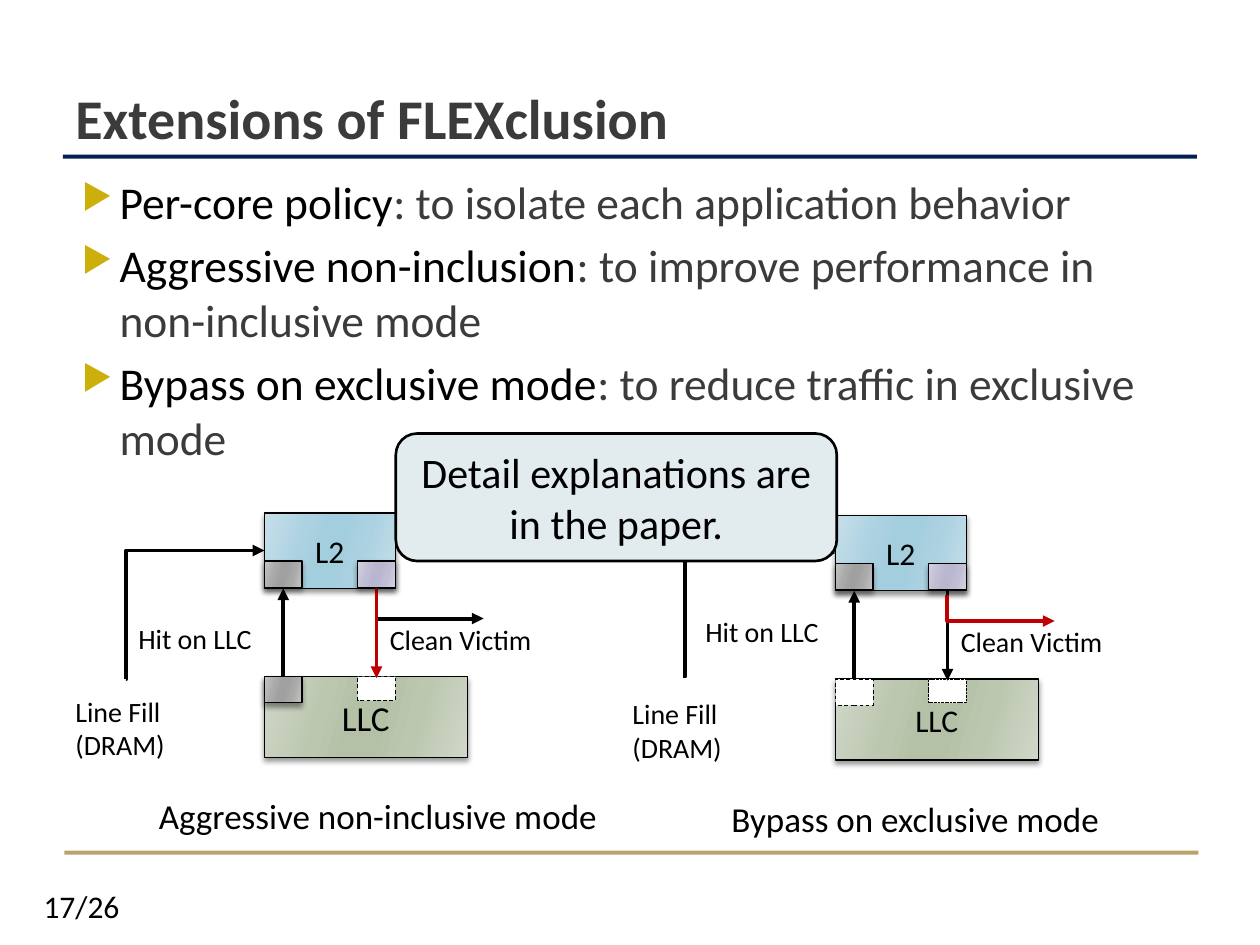
"""Build the slide on extensions of FLEXclusion with two cache diagrams."""
from lxml.etree import SubElement
from pptx import Presentation
from pptx.dml.color import RGBColor
from pptx.enum.dml import MSO_LINE
from pptx.enum.shapes import MSO_CONNECTOR, MSO_SHAPE
from pptx.enum.text import MSO_ANCHOR, PP_ALIGN
from pptx.oxml.ns import qn
from pptx.util import Cm, Pt

BLACK = RGBColor(0x00, 0x00, 0x00)
WHITE = RGBColor(0xFF, 0xFF, 0xFF)
GRAY = RGBColor(0x3B, 0x3B, 0x3B)
NAVY = RGBColor(0x01, 0x1F, 0x53)
TAN = RGBColor(0xBB, 0xA2, 0x6C)
GOLD = RGBColor(0xCC, 0xAF, 0x0A)
RED = RGBColor(0xC0, 0x00, 0x00)
PALE = RGBColor(0xE2, 0xEC, 0xEF)
BLUE_SHADES = tuple(map(RGBColor.from_string, ("C6DFE9", "ACD2E1", "A3CEDE")))
GREEN_SHADES = tuple(map(RGBColor.from_string, ("D0D7C8", "BBC7AF", "B4C1A6")))
GRAY_SHADES = tuple(map(RGBColor.from_string, ("C5C5C5", "A9A9A9", "A0A0A0")))
PURPLE_SHADES = tuple(map(RGBColor.from_string, ("D3D1E0", "C0BDD4", "B9B6CF")))
GRADIENT_STOPS = (0, 30, 45, 55, 73, 100)

L2_WIDTH, L2_HEIGHT = 2.64, 1.52
LLC_WIDTH, LLC_HEIGHT = 4.09, 1.63
CELL_WIDTH, CELL_HEIGHT, SLOT_HEIGHT = 0.76, 0.53, 0.48
LLC_DROP = 3.3

BULLETS = (
    ("Per-core policy", ": to isolate each application behavior"),
    ("Aggressive non-inclusion", ": to improve performance in non-inclusive mode"),
    ("Bypass on exclusive mode", ": to reduce traffic in exclusive mode"),
)
DIAGRAMS = (
    dict(left=5.33, top=10.34, llc_size=20, llc_cell=GRAY_SHADES, dash=MSO_LINE.DASH,
         straight=RED, bent=BLACK, fill_start=(-2.79, 3.35), bend=0.003,
         fill_label=(-4.06, 3.53), hit_label=(-2.79, 2.06),
         caption=("Aggressive non-inclusive mode", 2.54, 10.16)),
    dict(left=16.84, top=10.39, llc_size=18, llc_cell=None, dash=MSO_LINE.SQUARE_DOT,
         straight=BLACK, bent=RED, fill_start=(-3.07, 3.25), bend=0.013,
         fill_label=(-4.34, 3.53), hit_label=(-2.87, 1.88),
         caption=("Bypass on exclusive mode", 14.45, 8)),
)


def set_values(target, values):
    """Set each named attribute of the target."""
    for name, value in values.items():
        setattr(target, name, value)


def add_run(paragraph, text, size, color=BLACK, bold=False):
    """Append a formatted run to the paragraph."""
    run = paragraph.add_run()
    run.text = text
    set_values(run.font, dict(name="Calibri", size=Pt(size), bold=bold))
    run.font.color.rgb = color


def add_label(slide, box, lines, size, align=PP_ALIGN.LEFT, color=BLACK, bold=False,
              **frame_values):
    """Add a wrapped text box with one paragraph per line."""
    frame = slide.shapes.add_textbox(*map(Cm, box)).text_frame
    set_values(frame, dict(word_wrap=True, **frame_values))
    for index, line in enumerate(lines):
        paragraph = frame.add_paragraph() if index else frame.paragraphs[0]
        paragraph.alignment = align
        add_run(paragraph, line, size, color, bold)


def add_bullets(slide):
    """Add the bulleted list of extensions."""
    frame = slide.shapes.add_textbox(Cm(0.64), Cm(3.38), Cm(23.5), Cm(13.72)).text_frame
    frame.word_wrap = True
    for index, (term, purpose) in enumerate(BULLETS):
        paragraph = frame.add_paragraph() if index else frame.paragraphs[0]
        paragraph.space_before = Pt(5)
        add_run(paragraph, term, 26)
        add_run(paragraph, purpose, 26, GRAY)
        properties = paragraph._p.get_or_add_pPr()
        properties.set("marL", str(Cm(1.52)))
        properties.set("indent", str(Cm(-0.76)))
        bullet_color = SubElement(properties, qn("a:buClr"))
        SubElement(bullet_color, qn("a:srgbClr"), val=str(GOLD))
        SubElement(properties, qn("a:buSzPct"), val="76000")
        SubElement(properties, qn("a:buChar"), char="▶")


def add_box(slide, box, fill, text="", size=18, line_width=0.75, dash=None,
            kind=MSO_SHAPE.RECTANGLE):
    """Add a solid, outlined shape with centred text."""
    shape = slide.shapes.add_shape(kind, *map(Cm, box))
    shape.shadow.inherit = False
    shape.fill.solid()
    shape.fill.fore_color.rgb = fill
    if line_width:
        set_values(shape.line, dict(width=Pt(line_width), dash_style=dash))
        shape.line.color.rgb = BLACK
    else:
        shape.line.fill.background()
    if text:
        paragraph = shape.text_frame.paragraphs[0]
        paragraph.alignment = PP_ALIGN.CENTER
        add_run(paragraph, text, size)
    return shape


def add_glossy_box(slide, box, shades, text="", size=18):
    """Add a box with a symmetric gradient and a soft shadow."""
    shape = add_box(slide, box, shades[0], text, size)
    shape.fill.gradient()
    shape.fill.gradient_angle = 344
    properties = shape._element.spPr
    stops = properties.find(".//" + qn("a:gsLst"))
    for stop in list(stops):
        stops.remove(stop)
    for position, color in zip(GRADIENT_STOPS, shades + shades[::-1]):
        stop = SubElement(stops, qn("a:gs"), pos=str(position * 1000))
        SubElement(stop, qn("a:srgbClr"), val=str(color))
    shadow = SubElement(properties.find(qn("a:effectLst")), qn("a:outerShdw"),
                        blurRad=str(Pt(3)), dist=str(Pt(2)), dir="5400000", rotWithShape="0")
    shadow_color = SubElement(shadow, qn("a:srgbClr"), val=str(BLACK))
    SubElement(shadow_color, qn("a:alpha"), val="40000")
    return shape


def add_arrow(slide, start, end, color=BLACK, kind=MSO_CONNECTOR.STRAIGHT):
    """Add a connector with a triangle head at its end."""
    arrow = slide.shapes.add_connector(kind, *map(Cm, (*start, *end)))
    arrow.line.width = Pt(2.25)
    arrow.line.color.rgb = color
    SubElement(arrow.line._get_or_add_ln(), qn("a:tailEnd"), type="triangle")
    SubElement(arrow._element.spPr, qn("a:effectLst"))
    return arrow


def add_fill_arrow(slide, start, target, bend):
    """Add the line-fill arrow that rises and then enters the target's left side."""
    arrow = add_arrow(slide, start, start, kind=MSO_CONNECTOR.ELBOW)
    arrow.end_connect(target, 1)
    geometry = arrow._element.spPr.find(qn("a:prstGeom"))
    guides = geometry.find(qn("a:avLst"))
    SubElement(guides, qn("a:gd"), name="adj1", fmla=f"val {round(bend * 100000)}")


def add_victim_arrow(slide, left, top, color):
    """Add the one-bend arrow that drops and then leaves to the right."""
    width, height = 2.16, 0.53
    x, y = left + width / 2, top + height / 2
    arrow = add_arrow(slide, (x + height / 2, y - width / 2),
                      (x - height / 2, y + width / 2), color, MSO_CONNECTOR.ELBOW)
    properties = arrow._element.spPr
    properties.find(qn("a:prstGeom")).set("prst", "bentConnector2")
    properties.find(qn("a:xfrm")).set("rot", "16200000")


def add_diagram(slide, left, top, llc_size, llc_cell, dash, straight, bent, fill_start,
                bend, fill_label, hit_label, caption):
    """Add one L2 and LLC diagram with its arrows and labels."""
    llc_top, cell_top = top + LLC_DROP, top + 0.97
    victim_left, victim_x, hit_x = left + 1.88, left + 2.26, left + 0.38
    l2_box = add_glossy_box(slide, (left, top, L2_WIDTH, L2_HEIGHT), BLUE_SHADES, "L2")
    add_glossy_box(slide, (left, llc_top, LLC_WIDTH, LLC_HEIGHT), GREEN_SHADES, "LLC", llc_size)
    add_glossy_box(slide, (left, cell_top, CELL_WIDTH, CELL_HEIGHT), GRAY_SHADES)
    llc_cell_box = (left, llc_top, CELL_WIDTH, CELL_HEIGHT)
    if llc_cell:
        add_glossy_box(slide, llc_cell_box, llc_cell)
    else:
        add_box(slide, llc_cell_box, WHITE, line_width=0.5, dash=MSO_LINE.DASH)
    add_box(slide, (victim_left, llc_top, CELL_WIDTH, SLOT_HEIGHT), WHITE,
            line_width=0.5, dash=dash)
    add_fill_arrow(slide, (left + fill_start[0], top + fill_start[1]), l2_box, bend)
    add_arrow(slide, (hit_x, llc_top), (hit_x, top + L2_HEIGHT))
    if bent == BLACK:
        add_victim_arrow(slide, victim_x, top + 1.6, bent)
    add_arrow(slide, (victim_x, top + L2_HEIGHT), (victim_x, llc_top + 0.03), straight)
    if bent == RED:
        add_victim_arrow(slide, victim_x, top + 1.6, bent)
    add_glossy_box(slide, (victim_left, cell_top, CELL_WIDTH, CELL_HEIGHT), PURPLE_SHADES)
    for (x, y), width, height, lines in (
            (fill_label, 2.64, 1.63, ("Line Fill", "(DRAM)")),
            (hit_label, 4.45, 0.94, ("Hit on LLC",)),
            ((2.28, 2.08), 3.68, 0.94, ("Clean Victim",))):
        add_label(slide, (left + x, top + y, width, height), lines, 16)
    text, caption_left, width = caption
    add_label(slide, (caption_left, top + 5.56, width, 1.12), (text,), 20, PP_ALIGN.CENTER)


def main():
    """Build and save the slide."""
    presentation = Presentation()
    set_values(presentation, dict(slide_width=Cm(25.4), slide_height=Cm(19.05)))
    slide = presentation.slides.add_slide(presentation.slide_layouts[6])
    add_box(slide, (1.27, 3.12, 22.86, 0.08), NAVY, line_width=0)
    add_box(slide, (1.3, 17.15, 22.86, 0.08), TAN, line_width=0)
    add_label(slide, (0.58, 17.88, 1.83, 0.76), ("17/26",), 18, PP_ALIGN.RIGHT,
              vertical_anchor=MSO_ANCHOR.MIDDLE, margin_left=0, margin_right=0,
              margin_top=0, margin_bottom=0)
    add_label(slide, (1.27, 0.43, 22.86, 2.74), ("Extensions of FLEXclusion",), 32,
              color=GRAY, bold=True, vertical_anchor=MSO_ANCHOR.BOTTOM)
    add_bullets(slide)
    for diagram in DIAGRAMS:
        add_diagram(slide, **diagram)
    add_box(slide, (7.98, 8.74, 8.89, 2.57), PALE, "Detail explanations are in the paper.",
            24, 1.5, kind=MSO_SHAPE.ROUNDED_RECTANGLE)
    presentation.save("out.pptx")


if __name__ == "__main__":
    main()
